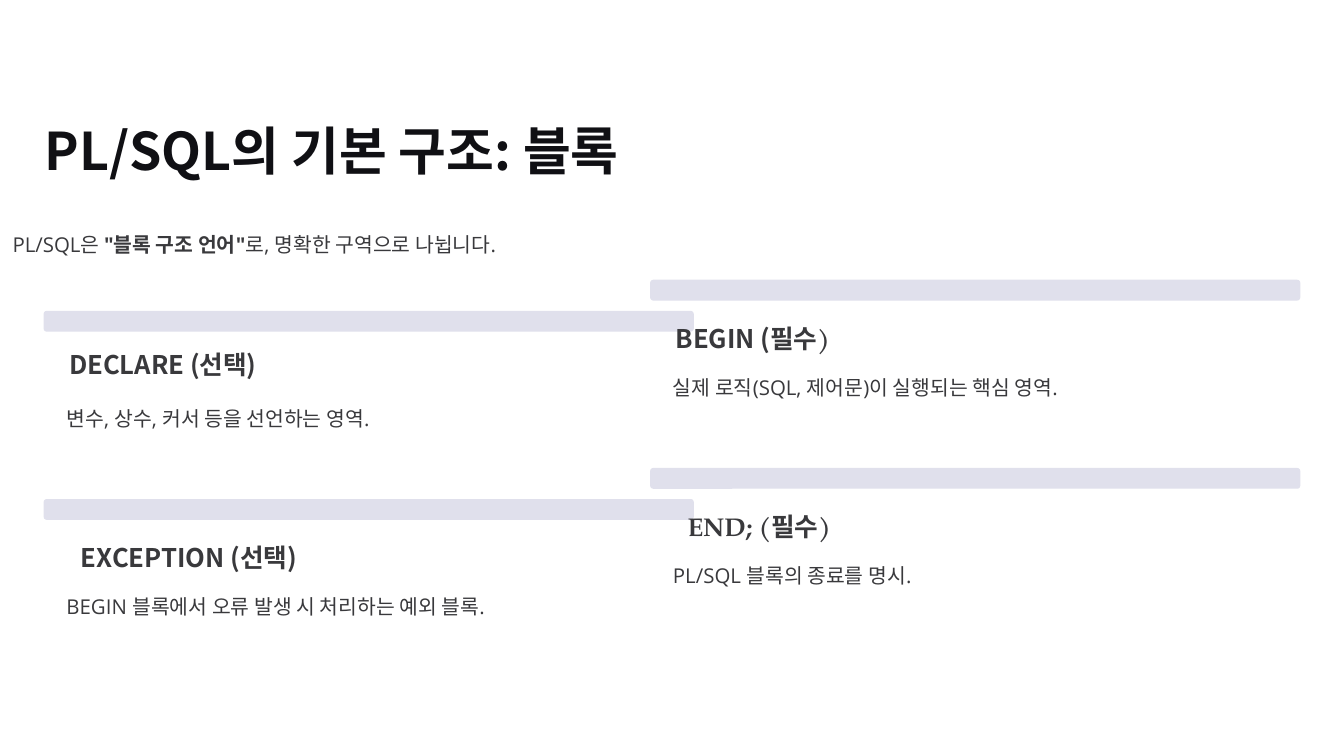
from pptx import Presentation
from pptx.dml.color import RGBColor
from pptx.enum.shapes import MSO_SHAPE
from pptx.enum.text import MSO_ANCHOR, PP_ALIGN
from pptx.util import Cm, Pt

COLORS = {"title": "101014", "text": "39393C", "bar": "E0E0EC"}
SANS, BODY, SERIF = "Noto Sans CJK KR", "Open Sans", "TeX Gyre Pagella"

TITLE = "PL/SQL의 기본 구조: 블록"
INTRO = [("PL/SQL은 ", {}), ('"블록 구조 언어"', {"bold": True}), ("로, 명확한 구역으로 나뉩니다.", {})]
SECTIONS = [
    {"column": 0, "row": 0, "font": SANS, "heading_drop": 1.12,
     "heading": [("DECLARE (선택)", {})],
     "body": "변수, 상수, 커서 등을 선언하는 영역."},
    {"column": 1, "row": 0, "font": SANS, "heading_drop": 1.25,
     "heading": [("BEGIN (필수", {}), (")", {"name": SERIF})],
     "body": "실제 로직(SQL, 제어문)이 실행되는 핵심 영역."},
    {"column": 0, "row": 1, "font": SANS, "heading_drop": 1.25,
     "heading": [("EXCEPTION (선택)", {})],
     "body": "BEGIN 블록에서 오류 발생 시 처리하는 예외 블록."},
    {"column": 1, "row": 1, "font": SERIF, "heading_drop": 1.25,
     "heading": [("END; (필수)", {})],
     "body": "PL/SQL 블록의 종료를 명시."},
]

COLUMN_LEFTS = (1.32, 19.66)
COLUMN_TOPS = (9.4, 8.46)
ROW_PITCH = 5.69
BAR_WIDTH, BAR_HEIGHT = 19.66, 0.63
HEADING_INDENTS = (0.77, 1.13)
BODY_INDENT, BODY_DROP = 0.69, 2.62


def write(box, spans, font, size, spacing, color="text", bold=False):
    frame = box.text_frame
    frame.margin_left = frame.margin_top = frame.margin_right = frame.margin_bottom = 0
    frame.vertical_anchor = MSO_ANCHOR.TOP
    frame.word_wrap = True
    para = frame.paragraphs[0]
    para.alignment = PP_ALIGN.LEFT
    para.line_spacing = Pt(spacing)
    para.font.name = font
    para.font.size = Pt(size)
    para.font.bold = bold
    para.font.color.rgb = RGBColor.from_string(COLORS[color])
    for text, changes in spans:
        span = para.add_run()
        span.text = text
        for attribute, value in changes.items():
            setattr(span.font, attribute, value)


def add_text(page, left, top, width, height, *style, **options):
    box = page.shapes.add_textbox(Cm(left), Cm(top), Cm(width), Cm(height))
    write(box, *style, **options)


def add_section(page, section):
    column, row = section["column"], section["row"]
    left = COLUMN_LEFTS[column]
    top = COLUMN_TOPS[column] + row * ROW_PITCH
    bar = page.shapes.add_shape(
        MSO_SHAPE.ROUNDED_RECTANGLE, Cm(left), Cm(top), Cm(BAR_WIDTH), Cm(BAR_HEIGHT))
    bar.adjustments[0] = 0.15
    bar.shadow.inherit = False
    bar.fill.solid()
    bar.fill.fore_color.rgb = RGBColor.from_string(COLORS["bar"])
    bar.line.fill.background()
    add_text(page, left + HEADING_INDENTS[row], top + section["heading_drop"], 8.66, 1,
             section["heading"], section["font"], 22, 27.5, bold=True)
    add_text(page, left + BODY_INDENT, top + BODY_DROP, 18.29, 1.02,
             [(section["body"], {})], BODY, 17.5, 28.5)


def main():
    deck = Presentation()
    deck.slide_width, deck.slide_height = Cm(40.64), Cm(22.86)
    page = deck.slides.add_slide(deck.slide_layouts[5])
    title = page.shapes.title
    title.left, title.top, title.width, title.height = Cm(1.35), Cm(3.5), Cm(19.1), Cm(1.98)
    write(title, [(TITLE, {})], SANS, 44.5, 55.5, color="title", bold=True)
    add_text(page, 0.38, 6.76, 39.85, 1.02, INTRO, BODY, 17.5, 28.5)
    for section in SECTIONS:
        add_section(page, section)
    deck.save("out.pptx")


if __name__ == "__main__":
    main()
